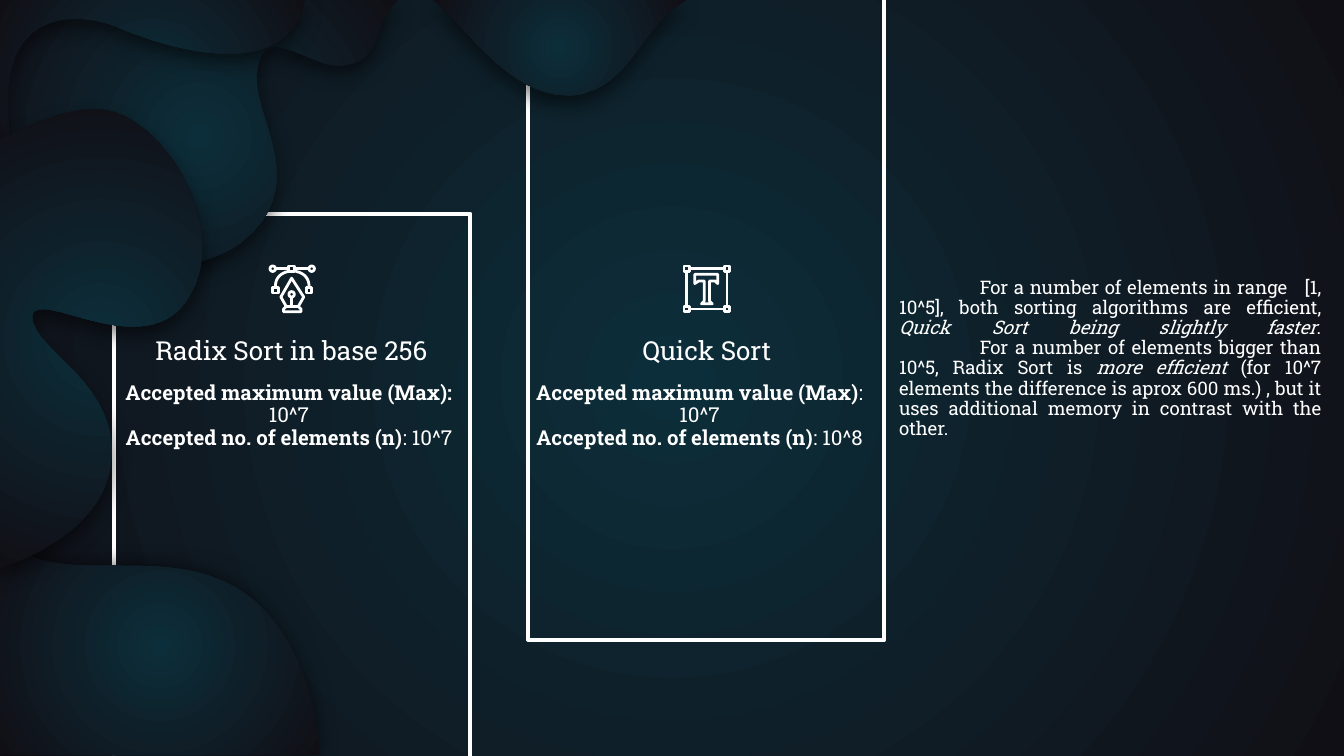
from dataclasses import dataclass
import math

import lxml.etree
import pptx
import pptx.dml.color
import pptx.enum.shapes
import pptx.enum.text
import pptx.oxml
import pptx.oxml.ns
import pptx.util

Inches, Pt = pptx.util.Inches, pptx.util.Pt
ALIGN, ANCHOR = pptx.enum.text.PP_ALIGN, pptx.enum.text.MSO_ANCHOR
qn = pptx.oxml.ns.qn

COLORS = {"teal": "0C2E3A", "night": "110F16", "white": "FFFFFF", "shadow": "000000"}
FONT = "Roboto Slab"
CURVE_STEPS = 16


@dataclass
class Blob:
    outline: str
    shadow_distance: float = 4.5
    shadow_angle: int = 90


@dataclass
class Words:
    text: str
    bold: bool = False
    italic: bool = False


@dataclass
class Card:
    frame: tuple[float, float, float, float]
    title_left: float
    title: str
    facts_left: float
    facts_width: float
    facts: list[list[Words]]


def rgb(name: str) -> pptx.dml.color.RGBColor:
    return pptx.dml.color.RGBColor.from_string(COLORS[name])


def contours(outline: str) -> list[tuple[list, bool]]:
    found, command, numbers = [], "", []
    for token in outline.split():
        if token in "MLCZ":
            command = token
            if command == "Z":
                found[-1] = (found[-1][0], True)
            continue
        numbers.append(float(token))
        if len(numbers) < (6 if command == "C" else 2):
            continue
        if command == "M":
            found.append(([tuple(numbers)], False))
        elif command == "L":
            found[-1][0].append(tuple(numbers))
        else:
            points = found[-1][0]
            start = points[-1]
            knots = [start, numbers[:2], numbers[2:4], numbers[4:]]
            for step in range(1, CURVE_STEPS + 1):
                t = step / CURVE_STEPS
                weights = [math.comb(3, k) * t**k * (1 - t) ** (3 - k) for k in range(4)]
                points.append(tuple(sum(w * k[axis] for w, k in zip(weights, knots)) for axis in (0, 1)))
        numbers = []
    return found


def draw_outline(slide, outline: str):
    parts = [([(Inches(x), Inches(y)) for x, y in points], closed) for points, closed in contours(outline)]
    builder = slide.shapes.build_freeform(*parts[0][0][0])
    for index, (points, closed) in enumerate(parts):
        if index:
            builder.move_to(*points[0])
        builder.add_line_segments(points[1:], close=closed)
    shape = builder.convert_to_shape()
    shape.shadow.inherit = False
    return shape


def paint_radial(fill, owner) -> None:
    fill.gradient()
    for stop, name in zip(fill.gradient_stops, ("teal", "night")):
        stop.color.rgb = rgb(name)
    gradient = owner.xpath(".//a:gradFill")[0]
    gradient.remove(gradient.find(qn("a:lin")))
    circle = lxml.etree.SubElement(gradient, qn("a:path"), path="circle")
    lxml.etree.SubElement(circle, qn("a:fillToRect"), {side: "50000" for side in "ltrb"})


def draw_blob(slide, blob: Blob) -> None:
    shape = draw_outline(slide, blob.outline)
    paint_radial(shape.fill, shape.element)
    shape.line.fill.background()
    effects = shape.element.spPr.find(qn("a:effectLst"))
    shadow = lxml.etree.SubElement(
        effects, qn("a:outerShdw"), blurRad=str(Pt(10.1)), dist=str(Pt(blob.shadow_distance)),
        dir=str(blob.shadow_angle * 60000), algn="bl", rotWithShape="0")
    color = lxml.etree.SubElement(shadow, qn("a:srgbClr"), val=COLORS["shadow"])
    lxml.etree.SubElement(color, qn("a:alpha"), val="50000")


def draw_icon_part(slide, outline: str) -> None:
    shape = draw_outline(slide, outline)
    shape.fill.background()
    shape.line.color.rgb = rgb("white")
    shape.line.width = Pt(1.5)


def square(x: float, y: float, r: float = 0.02) -> str:
    return f"M {x-r} {y-r} L {x+r} {y-r} {x+r} {y+r} {x-r} {y+r} Z "


def ring(x: float, y: float, r: float = 0.02) -> str:
    k = r * 0.55
    return (f"M {x} {y-r} C {x+k} {y-r} {x+r} {y-k} {x+r} {y} {x+r} {y+k} {x+k} {y+r} {x} {y+r} "
            f"{x-k} {y+r} {x-r} {y+k} {x-r} {y} {x-r} {y-k} {x-k} {y-r} {x} {y-r} Z ")


def add_text(slide, box: tuple, lines: list[list[Words]], size: float, align, anchor,
             spacing: float = 1.0, before: float = 0, bottom: float = 0.04):
    frame = slide.shapes.add_textbox(*map(Inches, box)).text_frame
    frame.word_wrap = True
    frame.vertical_anchor = anchor
    frame.margin_left = frame.margin_right = Inches(0.07)
    frame.margin_top, frame.margin_bottom = Inches(0.04), Inches(bottom)
    for index, line in enumerate(lines):
        paragraph = frame.add_paragraph() if index else frame.paragraphs[0]
        paragraph.alignment, paragraph.line_spacing = align, spacing
        paragraph.space_before = Pt(before)
        for words in line:
            if words.text == "\n":
                paragraph.add_line_break()
                continue
            run = paragraph.add_run()
            run.text = words.text
            run.font.name, run.font.size = FONT, Pt(size)
            run.font.bold, run.font.italic = words.bold, words.italic
            run.font.color.rgb = rgb("white")
    return frame


def draw_frame(slide, card: Card) -> None:
    frame = slide.shapes.add_shape(pptx.enum.shapes.MSO_SHAPE.RECTANGLE, *map(Inches, card.frame))
    frame.shadow.inherit = False
    frame.fill.background()
    frame.line.color.rgb = rgb("white")
    frame.line.width = Pt(2.25)


def write_card(slide, card: Card) -> None:
    add_text(slide, (card.title_left, 2.5, 2.54, 0.26), [[Words(card.title)]], 14, ALIGN.CENTER, ANCHOR.BOTTOM, before=8)
    add_text(slide, (card.facts_left, 2.81, card.facts_width, 0.98), card.facts, 11, ALIGN.CENTER, ANCHOR.TOP, 0.9)


BLOBS = [
    Blob("M 4.22 .71 C 4.26 .71 4.31 .71 4.36 .69 4.7 .6 4.79 .18 5.11 0 L 3.22 0 C 3.46 .19 3.78 .71 4.22 .71 Z", 5.2),
    Blob("M .69 2.03 C 1.13 2.03 1.56 1.98 1.79 1.81 2.33 1.39 1.89 .89 1.91 .56 1.92 .4 1.98 .35 2.05 .35 "
         "2.12 .35 2.2 .39 2.28 .42 2.37 .46 2.45 .49 2.51 .49 2.52 .49 2.52 .49 2.53 .49 2.86 .47 2.76 .2 2.96 0 "
         "L 2.27 0 C 2.22 .29 1.99 .4 1.7 .4 1.45 .4 1.16 .32 .89 .21 .78 .16 .66 .14 .56 .14 .24 .14 0 .37 .07 .93 "
         ".08 1.09 .05 1.21 0 1.29 L 0 1.99 C .21 2.01 .45 2.03 .69 2.03 Z"),
    Blob("M 0 1.29 C .05 1.21 .08 1.09 .07 .93 0 .37 .24 .14 .56 .14 .66 .14 .78 .16 .89 .21 "
         "1.16 .32 1.45 .4 1.7 .4 1.99 .4 2.22 .29 2.27 0 L 0 0 Z"),
    Blob("M 2.38 5.62 C 2.36 5.25 2.25 4.83 1.95 4.52 1.64 4.22 1.26 4.21 .89 4.21 .86 4.21 .83 4.21 .8 4.21 "
         ".52 4.21 .26 4.2 .07 4.05 .04 4.03 .02 4.01 0 3.99 L 0 5.62 Z", 1.5, 240),
    Blob("M 0 4.23 C .39 4.09 .75 3.86 .82 3.49 .93 2.86 .24 2.61 .24 2.36 .24 2.32 .27 2.3 .32 2.3 "
         ".45 2.3 .73 2.43 .99 2.43 1.15 2.43 1.3 2.38 1.4 2.22 1.73 1.72 1.23 .85 .74 .81 "
         ".73 .81 .71 .81 .7 .81 .51 .81 .25 .91 0 1.04 Z"),
]
MAXIMUM, COUNT = "Accepted maximum value (Max)", "Accepted no. of elements (n)"
CARDS = [
    Card((0.85, 1.59, 2.65, 4.13), 0.9, "Radix Sort in base 256", 0.72, 2.86,
         [[Words(MAXIMUM + ": ", True), Words("10^7")], [Words(COUNT, True), Words(": 10^7")]]),
    Card((3.93, -0.08, 2.65, 4.84), 3.99, "Quick Sort", 3.88, 2.65,
         [[Words(MAXIMUM, True), Words(": 10^7")], [Words(COUNT, True), Words(": 10^8")]]),
]
CONCLUSION = [
    Words("\tFor a number of elements in range\t[1, 10^5], both sorting algorithms are efficient, "),
    Words("Quick Sort being slightly faster", italic=True), Words("."), Words("\n"),
    Words("\tFor a number of elements bigger than 10^5, Radix Sort is "),
    Words("more efficient ", italic=True),
    Words("(for 10^7 elements the difference is aprox 600 ms.) , but it uses additional memory in contrast with the other."),
]
NIB = ("M 2.17 2.07 L 2.26 2.21 2.22 2.28 2.13 2.28 2.09 2.21 Z M 2.13 2.28 L 2.11 2.3 2.11 2.32 2.24 2.32 2.24 2.3 2.22 2.28 "
       "M 2.17 2.22 L 2.17 2.28 " + ring(2.17, 2.19))
PEN_CURVE = ("M 2.05 2 L 2.15 2 M 2.2 2 L 2.3 2 M 2.05 2.13 C 2.05 2.07 2.09 2.03 2.15 2.02 "
             "M 2.3 2.13 C 2.3 2.07 2.26 2.03 2.2 2.02 " + ring(2.03, 2) + ring(2.32, 2)
             + square(2.17, 2) + square(2.05, 2.16) + square(2.3, 2.16))
TYPE_BOX = ("M 5.13 2 L 5.39 2 M 5.13 2.3 L 5.39 2.3 M 5.11 2.02 L 5.11 2.28 M 5.41 2.02 L 5.41 2.28 "
            + "".join(square(x, y) for x in (5.11, 5.41) for y in (2, 2.3)))
LETTER_T = ("M 5.17 2.04 L 5.34 2.04 5.34 2.11 5.32 2.09 5.28 2.09 5.28 2.24 5.3 2.26 5.22 2.26 "
            "5.24 2.24 5.24 2.09 5.2 2.09 5.17 2.11 Z")

deck = pptx.Presentation()
deck.slide_width = Inches(10)
deck.slide_height = deck.slide_width * 9 // 16
slide = deck.slides.add_slide(deck.slide_layouts[6])
paint_radial(slide.background.fill, slide.element)
for card in CARDS:
    draw_frame(slide, card)
for blob in BLOBS:
    draw_blob(slide, blob)
conclusion = add_text(slide, (6.62, 0.93, 3.28, 3.81), [CONCLUSION], 10, ALIGN.JUSTIFY, ANCHOR.MIDDLE, 0.9, bottom=0.37)
tabs = lxml.etree.SubElement(conclusion.paragraphs[0]._p.get_or_add_pPr(), qn("a:tabLst"))
for stop in (0.6, 2.97):
    lxml.etree.SubElement(tabs, qn("a:tab"), pos=str(Inches(stop)), algn="l")
for card in CARDS:
    write_card(slide, card)
for part in (NIB, PEN_CURVE, TYPE_BOX, LETTER_T):
    draw_icon_part(slide, part)
deck.save("out.pptx")
